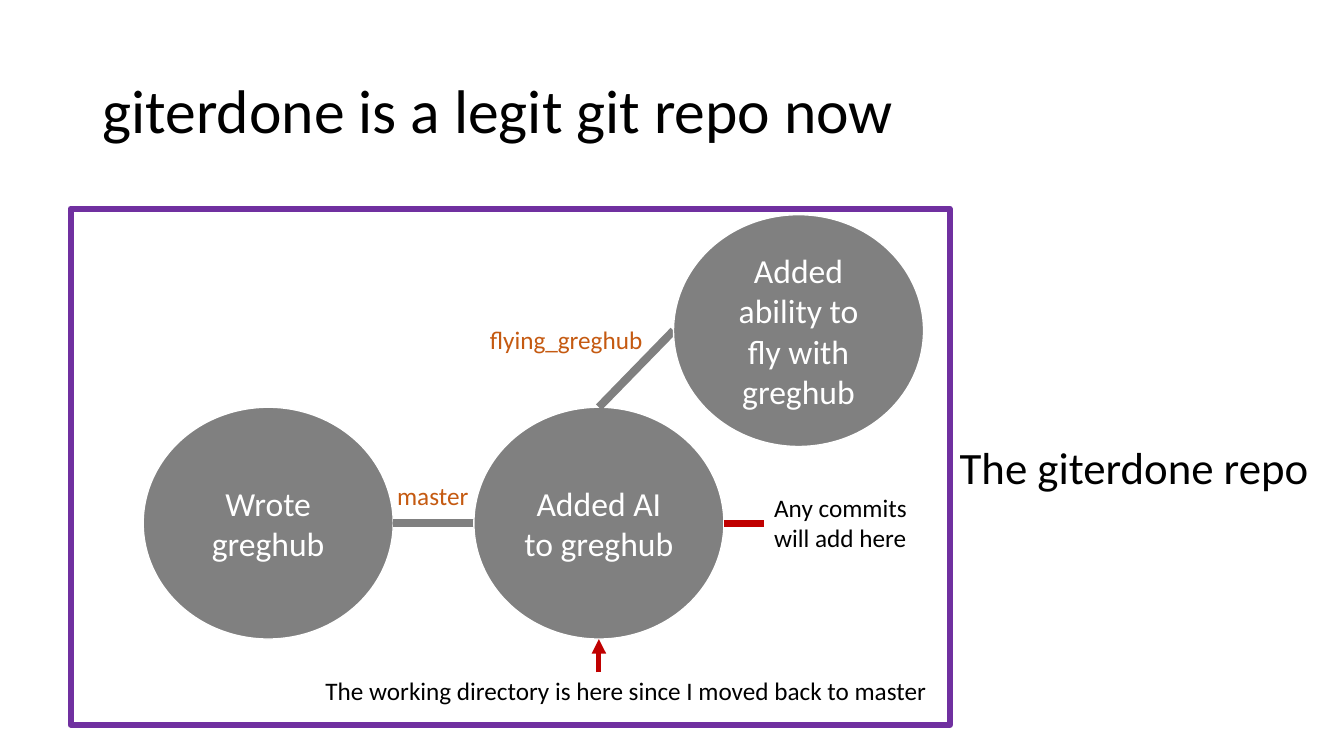
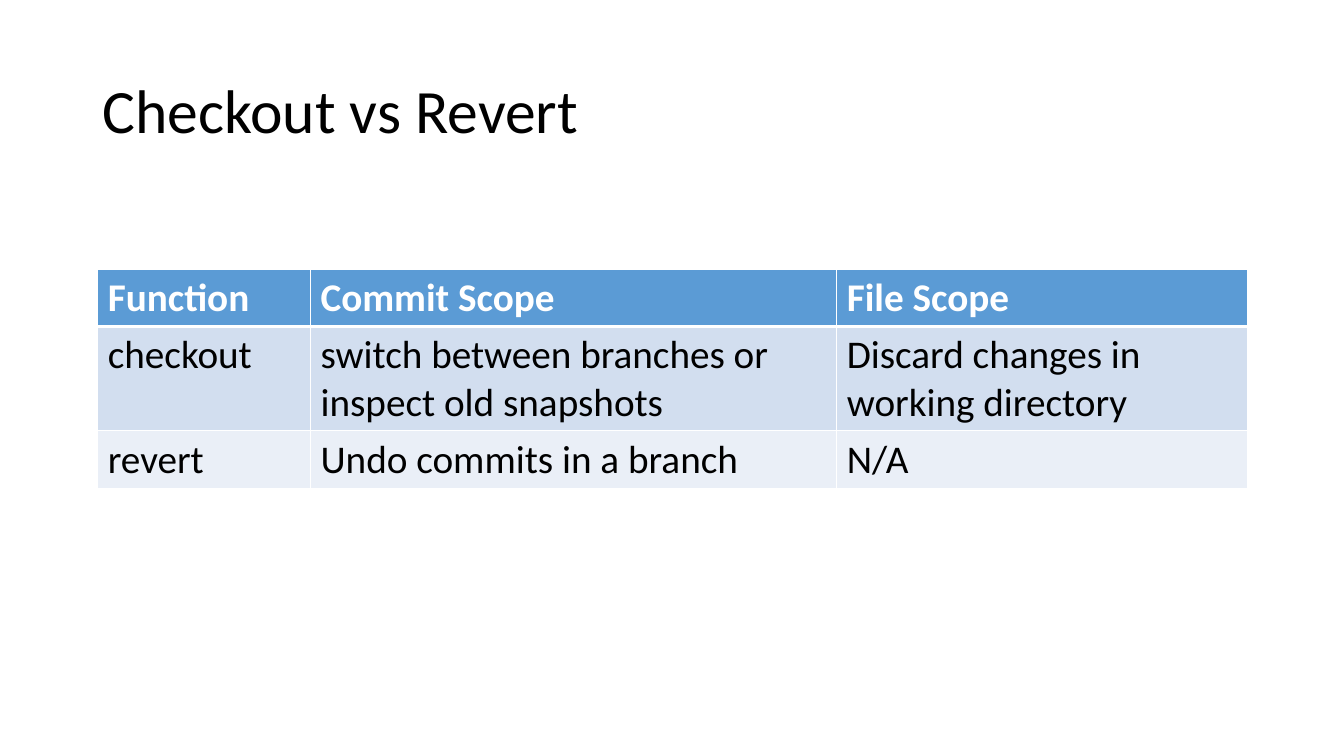
from dataclasses import dataclass

from lxml.etree import SubElement
from pptx import Presentation
from pptx.dml.color import RGBColor
from pptx.enum.shapes import MSO_CONNECTOR, MSO_SHAPE
from pptx.enum.text import MSO_ANCHOR, MSO_AUTO_SIZE, PP_ALIGN
from pptx.oxml.ns import qn
from pptx.util import Inches, Pt


@dataclass(frozen=True)
class Theme:
    """Hold the colours, font and type sizes of the deck."""

    font: str = "Calibri"
    black: str = "000000"
    white: str = "FFFFFF"
    gray: str = "808080"
    red: str = "C00000"
    purple: str = "7030A0"
    orange: str = "C55A11"
    head: str = "5B9BD5"
    bands: tuple = ("D2DEEF", "EAEFF7")
    title: int = 44
    name: int = 32
    cell: int = 28
    node: int = 24
    label: int = 18


THEME = Theme()
NODE_W, NODE_H = 2.48, 2.3


def set_all(obj, **values):
    """Set each named value on an object."""
    for key, value in values.items():
        setattr(obj, key, value)


def box(*sizes):
    """Turn numbers into lengths in inches."""
    return [Inches(size) for size in sizes]


def write(frame, text, size, color, bold=False, **style):
    """Fill a text frame with one styled paragraph."""
    para = frame.paragraphs[0]
    set_all(para, **style)
    run = para.add_run()
    run.text = text
    set_all(run.font, name=THEME.font, size=Pt(size), bold=bold)
    run.font.color.rgb = RGBColor.from_string(color)


def add_title(slide, text):
    """Add the slide title."""
    frame = slide.shapes.add_textbox(*box(0.92, 0.4, 11.5, 1.45)).text_frame
    set_all(frame, word_wrap=True, vertical_anchor=MSO_ANCHOR.MIDDLE)
    write(frame, text, THEME.title, THEME.black, line_spacing=0.9)


def add_label(slide, text, place, color=THEME.black, size=THEME.label, wrap=False):
    """Add a text box that fits its text."""
    frame = slide.shapes.add_textbox(*box(*place)).text_frame
    set_all(frame, word_wrap=wrap, auto_size=MSO_AUTO_SIZE.SHAPE_TO_FIT_TEXT)
    write(frame, text, size, color)


def add_shape(slide, kind, place, color, width, fill=None):
    """Add an outlined shape with an optional fill."""
    shape = slide.shapes.add_shape(kind, *box(*place))
    shape.shadow.inherit = False
    if fill:
        shape.fill.solid()
        shape.fill.fore_color.rgb = RGBColor.from_string(fill)
    else:
        shape.fill.background()
    shape.line.color.rgb = RGBColor.from_string(color)
    shape.line.width = Pt(width)
    return shape


def add_node(slide, text, left, top):
    """Add a commit circle."""
    place = (left, top, NODE_W, NODE_H)
    node = add_shape(slide, MSO_SHAPE.OVAL, place, THEME.white, 1, THEME.gray)
    set_all(node.text_frame, word_wrap=True, vertical_anchor=MSO_ANCHOR.MIDDLE)
    write(node.text_frame, text, THEME.node, THEME.white, alignment=PP_ALIGN.CENTER)


def add_line(slide, start, end, color, width, arrow=False):
    """Add a straight line, with an arrowhead if asked."""
    line = slide.shapes.add_connector(MSO_CONNECTOR.STRAIGHT, *box(*start, *end))
    line.line.color.rgb = RGBColor.from_string(color)
    line.line.width = Pt(width)
    if arrow:
        SubElement(line.line._get_or_add_ln(), qn("a:tailEnd"), type="triangle")
    SubElement(line._element.spPr, qn("a:effectLst"))


def add_edges(cell, base):
    """Give a cell white borders with its own base width."""
    props = cell._tc.get_or_add_tcPr()
    for side, width in {"L": 1, "R": 1, "T": 1, "B": base}.items():
        edge = SubElement(props, qn(f"a:ln{side}"), w=str(Pt(width)))
        fill = SubElement(edge, qn("a:solidFill"))
        SubElement(fill, qn("a:srgbClr"), val=THEME.white)


def add_grid(slide, rows, place, widths, heights):
    """Add a table with a header and banded rows."""
    frame = slide.shapes.add_table(len(rows), len(widths), *box(*place))
    table = frame.table
    for col, width in zip(table.columns, widths):
        col.width = Inches(width)
    for i, (row, height) in enumerate(zip(rows, heights)):
        head = i == 0
        table.rows[i].height = Inches(height)
        fill = THEME.head if head else THEME.bands[(i - 1) % 2]
        color = THEME.white if head else THEME.black
        for j, text in enumerate(row):
            cell = table.cell(i, j)
            add_edges(cell, 3 if head else 1)
            cell.fill.solid()
            cell.fill.fore_color.rgb = RGBColor.from_string(fill)
            write(cell.text_frame, text, THEME.cell, color, bold=head)


def draw_repo(slide):
    """Draw the commits and branches of the repo."""
    add_title(slide, "giterdone is a legit git repo now")
    first, second, third, base, high = 1.42, 4.7, 6.68, 4.04, 2.13
    mid = second + NODE_W / 2
    axis = base + NODE_H / 2
    foot = base + NODE_H
    add_node(slide, "Wrote greghub", first, base)
    add_line(slide, (first + NODE_W, axis), (second, axis), THEME.gray, 5.75)
    add_node(slide, "Added AI to greghub", second, base)
    add_line(slide, (mid, foot + 0.33), (mid, foot), THEME.red, 3.5, arrow=True)
    add_label(slide, "The working directory is here since I moved back to master",
              (3.13, 6.65, 6.23, 0.4))
    add_shape(slide, MSO_SHAPE.RECTANGLE, (0.7, 2.07, 8.72, 5.12), THEME.purple, 4.25)
    add_label(slide, "The giterdone repo", (9.42, 4.31, 3.7, 0.64), size=THEME.name)
    add_line(slide, (mid, base), (third, high + NODE_H / 2), THEME.gray, 5.75)
    add_node(slide, "Added ability to fly with greghub", third, high)
    add_label(slide, "master", (3.84, 4.72, 0.92, 0.4), THEME.orange)
    add_label(slide, "flying_greghub", (4.76, 3.17, 1.74, 0.4), THEME.orange)
    add_line(slide, (second + NODE_W, axis), (7.58, axis), THEME.red, 5)
    add_label(slide, "Any commits will add here", (7.58, 4.83, 1.52, 0.71), wrap=True)


def draw_table(slide):
    """Compare the two commands in a table."""
    add_title(slide, "Checkout vs Revert")
    rows = [
        ("Function", "Commit Scope", "File Scope"),
        ("checkout", "switch between branches or inspect old snapshots",
         "Discard changes in working directory"),
        ("revert", "Undo commits in a branch", "N/A"),
    ]
    add_grid(slide, rows, (0.97, 2.67, 11.4, 2.17), (2.11, 5.22, 4.07),
             (0.57, 1.03, 0.57))


def main():
    """Build and save the deck."""
    deck = Presentation()
    set_all(deck, slide_width=Inches(13.33), slide_height=Inches(7.5))
    for draw in (draw_repo, draw_table):
        draw(deck.slides.add_slide(deck.slide_layouts[6]))
    deck.save("out.pptx")


if __name__ == "__main__":
    main()
